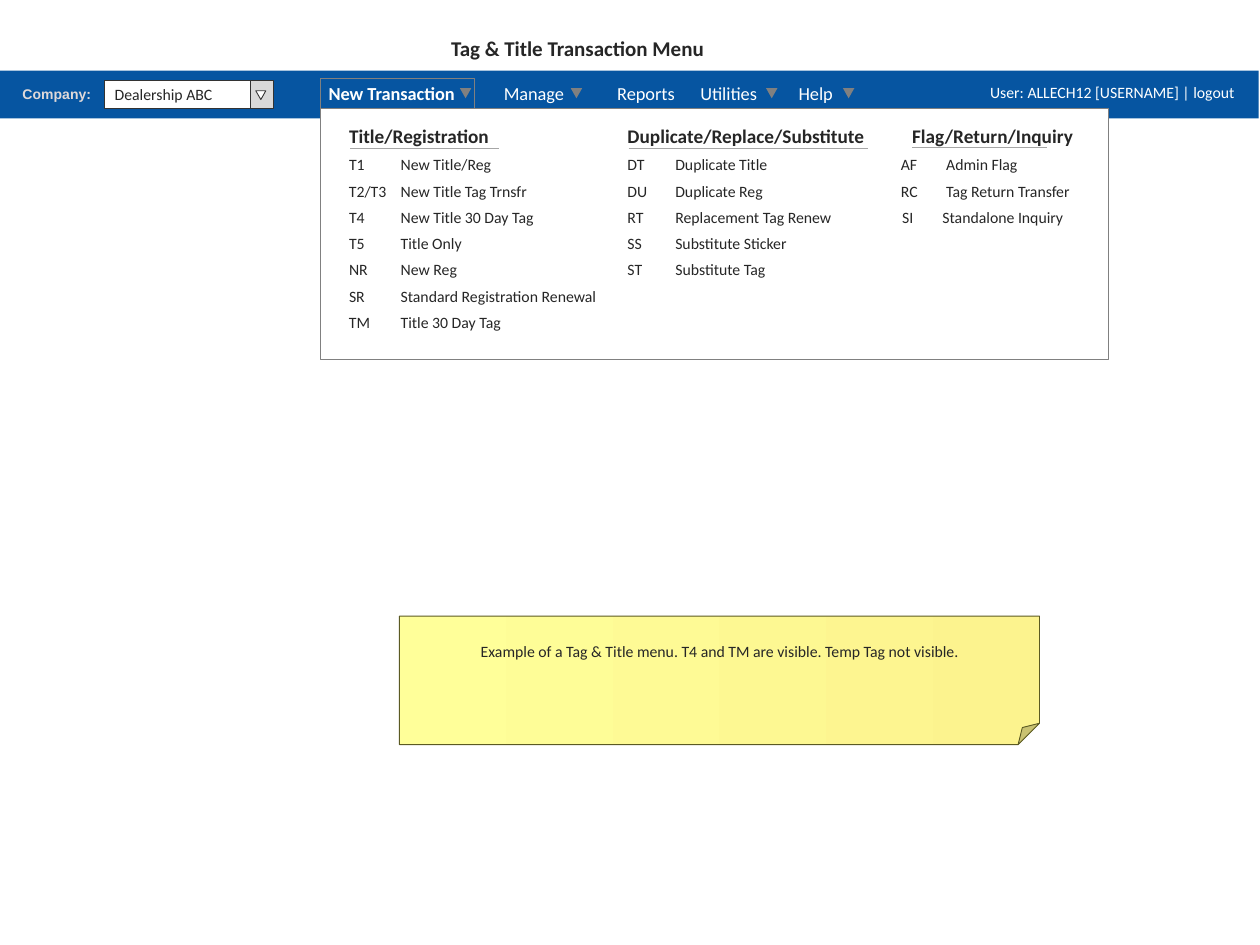
from lxml import etree
from pptx import Presentation
from pptx.dml.color import RGBColor
from pptx.enum.shapes import MSO_CONNECTOR, MSO_SHAPE
from pptx.enum.text import MSO_ANCHOR, PP_ALIGN
from pptx.oxml.ns import qn
from pptx.util import Inches, Pt

RECT = MSO_SHAPE.RECTANGLE
TRIANGLE = MSO_SHAPE.ISOSCELES_TRIANGLE
NOTE = MSO_SHAPE.FOLDED_CORNER
STRAIGHT = MSO_CONNECTOR.STRAIGHT
TOP, MIDDLE = MSO_ANCHOR.TOP, MSO_ANCHOR.MIDDLE
LEFT, CENTER = PP_ALIGN.LEFT, PP_ALIGN.CENTER

INK, WHITE, BLUE = "262626", "FFFFFF", "0655A1"
GRAY, DARK, PALE, RULE = "808080", "333333", "D9D9D9", "A6A6A6"
WIDE = (0.1, 0.05, 0.1, 0.05)
SNUG = (0.08, 0.04, 0.02, 0.04)

ROW_TOP, ROW_PITCH = 1.19, 1.25 / 6

# heading, (left, width), rule (start, end, y), code left, label left,
# rows of (code, code width, label, label width)
MENU_COLUMNS = [
    ("Title/Registration", (2.69, 1.29), (2.78, 3.96, 1.18), 2.69, 3.1, [
        ("T1", 0.28, "New Title/Reg", 0.89),
        ("T2/T3", 0.46, "New Title Tag Trnsfr", 1.19),
        ("T4", 0.28, "New Title 30 Day Tag", 1.23),
        ("T5", 0.28, "Title Only", 0.65),
        ("NR", 0.31, "New Reg", 0.61),
        ("SR", 0.29, "Standard Registration Renewal", 1.74),
        ("TM", 0.33, "Title 30 Day Tag", 0.97)]),
    ("Duplicate/Replace/Substitute", (4.9, 2.08), (4.99, 6.89, 1.18), 4.9, 5.28, [
        ("DT", 0.3, "Duplicate Title", 0.9),
        ("DU", 0.32, "Duplicate Reg", 0.87),
        ("RT", 0.29, "Replacement Tag Renew", 1.42),
        ("SS", 0.27, "Substitute Sticker", 1.06),
        ("ST", 0.28, "Substitute Tag", 0.89)]),
    ("Flag/Return/Inquiry", (7.16, 1.44), (7.24, 8.31, 1.17), 7.07, 7.43, [
        ("AF", 0.29, "Admin Flag", 0.73),
        ("RC", 0.29, "Tag Return Transfer", 1.17)]),
    (None, None, None, 7.08, 7.4, [
        None, None, ("SI", 0.25, "Standalone Inquiry", 1.13)]),
]


def rgb(value):
    """Turn a hex string into a colour."""
    return RGBColor.from_string(value)


def paint(sp, fill=None, line=None):
    """Set fill and thin outline, and drop the shadow."""
    sp.shadow.inherit = False
    if fill:
        sp.fill.solid()
        sp.fill.fore_color.rgb = rgb(fill)
    else:
        sp.fill.background()
    if line:
        sp.line.color.rgb = rgb(line)
        sp.line.width = Pt(0.5)
    else:
        sp.line.fill.background()


def set_frame(sp, insets, anchor):
    """Set the text margins and anchor of a shape; return its paragraph."""
    tf = sp.text_frame
    tf.margin_left, tf.margin_top, tf.margin_right, tf.margin_bottom = map(Inches, insets)
    tf.vertical_anchor = anchor
    tf.word_wrap = True
    return tf.paragraphs[0]


def add_run(p, text, size=9, color=INK, bold=False, font="Calibri"):
    """Add one formatted run."""
    r = p.add_run()
    r.text = text
    r.font.size = Pt(size)
    r.font.name = font
    r.font.bold = bold
    r.font.color.rgb = rgb(color)


def add_box(s, kind, x, y, w, h, fill=None, line=None):
    """Add a preset shape."""
    sp = s.shapes.add_shape(kind, Inches(x), Inches(y), Inches(w), Inches(h))
    paint(sp, fill, line)
    return sp


def add_text(s, x, y, w, h, insets=WIDE, anchor=MIDDLE):
    """Add a text box and return its first paragraph."""
    sp = s.shapes.add_textbox(Inches(x), Inches(y), Inches(w), Inches(h))
    return set_frame(sp, insets, anchor)


def add_label(s, x, y, w, h, text, **style):
    """Add a one-line label."""
    add_run(add_text(s, x, y, w, h, SNUG, TOP), text, **style)


def add_tab_stops(p, stops):
    """Give a paragraph left tab stops."""
    tabs = etree.SubElement(p._p.get_or_add_pPr(), qn("a:tabLst"))
    for stop in stops:
        etree.SubElement(tabs, qn("a:tab"), pos=str(Inches(stop)), algn="l")


def add_arrow(s, x):
    """Add a downward menu arrow."""
    fb = s.shapes.build_freeform(Inches(x), Inches(0.7))
    fb.add_line_segments([(Inches(x + 0.09), Inches(0.7)),
                          (Inches(x + 0.045), Inches(0.78))], close=True)
    paint(fb.convert_to_shape(), GRAY)


def add_rule(s, x1, x2, y):
    """Add a horizontal line."""
    sp = s.shapes.add_connector(STRAIGHT, Inches(x1), Inches(y), Inches(x2), Inches(y))
    sp.line.color.rgb = rgb(RULE)
    sp.line.width = Pt(0.75)
    etree.SubElement(sp._element.spPr, qn("a:effectLst"))


def add_nav_bar(s):
    """Add the blue bar with company picker, menus and user."""
    add_box(s, RECT, -0.01, 0.56, 10, 0.38, BLUE)
    p = add_text(s, 0.08, 0.63, 0.82, 0.24, anchor=TOP)
    add_run(p, "Company:", 8, "DFD9D9", True, "Arial")

    p = add_text(s, 2.51, 0.59, 5.41, 0.29)
    add_tab_stops(p, [1.39, 2.29, 2.95, 3.73])
    add_run(p, "New Transaction", 10.5, WHITE, True)
    add_run(p, "\tManage\tReports\tUtilities\tHelp", 10.5, WHITE)
    for x in (3.65, 4.53, 6.08, 6.69):
        add_arrow(s, x)

    picker = add_box(s, RECT, 0.83, 0.64, 1.28, 0.22, WHITE, DARK)
    p = set_frame(picker, (0.08, 0.04, 0.18, 0.04), MIDDLE)
    p.alignment = LEFT
    add_run(p, "Dealership ABC")
    add_box(s, RECT, 1.99, 0.64, 0.18, 0.22, PALE, DARK)
    add_box(s, TRIANGLE, 2.03, 0.72, 0.08, 0.07, WHITE, DARK).rotation = 180

    p = add_text(s, 7.76, 0.59, 2.22, 0.29)
    add_run(p, "User: ALLECH12 [USERNAME] | logout", color=WHITE)


def add_menu_column(s, heading, place, rule, code_x, label_x, rows):
    """Add a column of transaction codes, with its heading if it has one."""
    if heading:
        x, w = place
        add_label(s, x, 0.95, w, 0.26, heading, size=11, bold=True)
        add_rule(s, *rule)
    for i, row in enumerate(rows):
        if row:
            code, code_w, label, label_w = row
            y = ROW_TOP + i * ROW_PITCH
            add_label(s, code_x, y, code_w, 0.22, code)
            add_label(s, label_x, y, label_w, 0.22, label)


def add_note(s):
    """Add the yellow note."""
    sp = add_box(s, NOTE, 3.17, 4.89, 5.08, 1.02, "FFFF99", "5B5A23")
    sp.fill.gradient()
    sp.fill.gradient_angle = 0
    for stop, color, position in zip(sp.fill.gradient_stops, ("FFFF99", "FCF38E"), (0, 1)):
        stop.color.rgb = rgb(color)
        stop.position = position
    p = set_frame(sp, (0.1, 0.2, 0.1, 0.05), TOP)
    p.alignment = CENTER
    add_run(p, "Example of a Tag & Title menu. T4 and TM are visible. Temp Tag not visible.")


def main():
    """Build and save the slide."""
    prs = Presentation()
    prs.slide_width, prs.slide_height = Inches(10), Inches(7.5)
    s = prs.slides.add_slide(prs.slide_layouts[6])
    add_nav_bar(s)
    add_box(s, RECT, 2.54, 0.86, 6.26, 1.99, WHITE, GRAY)
    add_box(s, RECT, 2.54, 0.62, 1.23, 0.24, line=GRAY)
    add_label(s, 3.5, 0.24, 2.2, 0.27, "Tag & Title Transaction Menu", size=12, bold=True)
    for column in MENU_COLUMNS:
        add_menu_column(s, *column)
    add_note(s)
    prs.save("out.pptx")


main()
